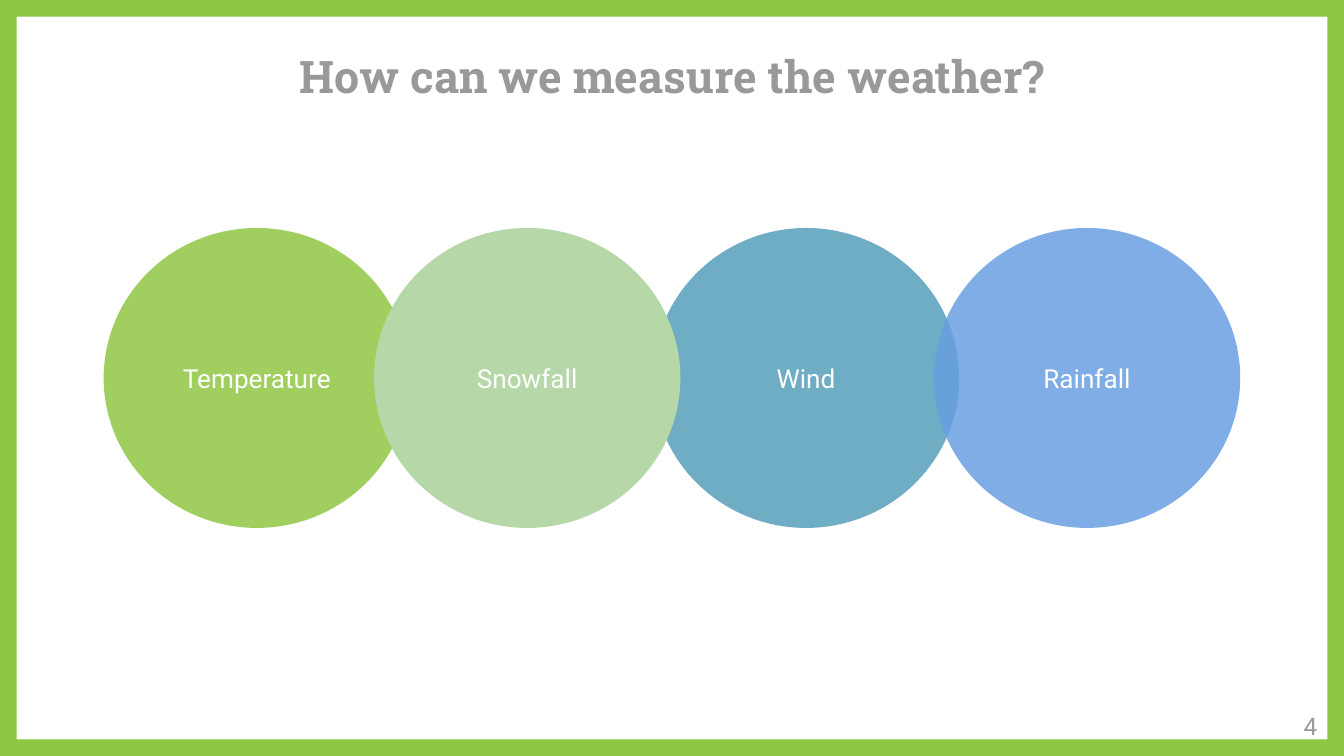
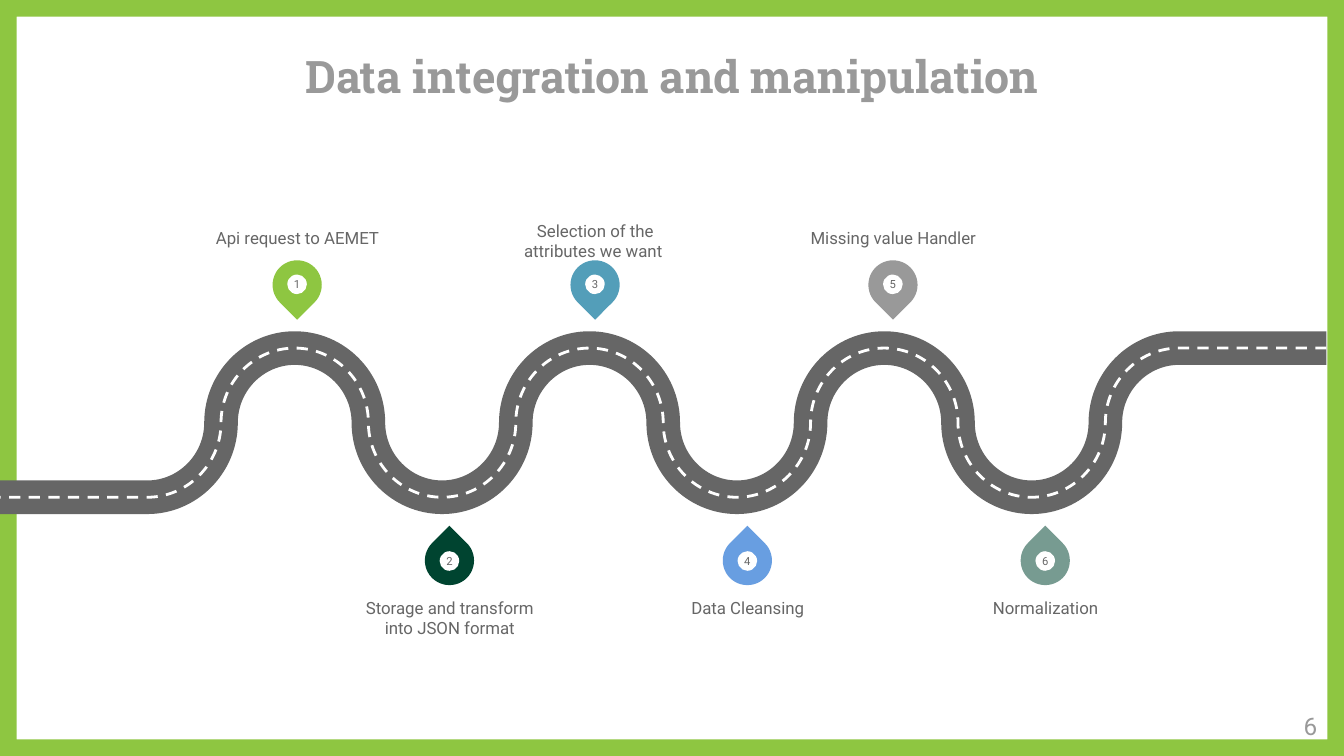
from lxml import etree
from pptx import Presentation
from pptx.dml.color import RGBColor
from pptx.enum import dml, shapes, text
from pptx.oxml.ns import qn
from pptx.util import Cm, Pt

COLORS = {
    "lime": "8EC641",
    "sage": "B6D7A8",
    "teal": "539EB9",
    "sky": "689EE1",
    "forest": "004430",
    "moss": "779B91",
    "gray": "999999",
    "dark": "666666",
    "white": "FFFFFF",
}
BODY, HEADING = "Roboto", "Roboto Slab"
WIDTH, HEIGHT = 25.4, 14.29
TOP, MIDDLE, BOTTOM = (
    text.MSO_ANCHOR.TOP,
    text.MSO_ANCHOR.MIDDLE,
    text.MSO_ANCHOR.BOTTOM,
)


def rgb(name):
    return RGBColor.from_string(COLORS[name])


def write(sp, content, size=9, color="dark", font=BODY, bold=False,
          anchor=TOP, inset=0):
    tf = sp.text_frame
    tf.word_wrap = True
    tf.vertical_anchor = anchor
    tf.margin_left = tf.margin_right = Cm(inset)
    tf.margin_top = tf.margin_bottom = Cm(inset)
    p = tf.paragraphs[0]
    p.alignment = text.PP_ALIGN.CENTER
    r = p.add_run()
    r.text = content
    r.font.name = font
    r.font.size = Pt(size)
    r.font.bold = bold
    r.font.color.rgb = rgb(color)


def add_text(s, box, content, **style):
    sp = s.shapes.add_textbox(*map(Cm, box))
    write(sp, content, **style)


def add_shape(s, kind, box, color, alpha=100):
    sp = s.shapes.add_shape(kind, *map(Cm, box))
    sp.shadow.inherit = False
    sp.fill.solid()
    sp.fill.fore_color.rgb = rgb(color)
    sp.line.fill.background()
    if alpha < 100:
        clr = sp.fill._xPr.find(qn("a:solidFill"))[0]
        etree.SubElement(clr, qn("a:alpha")).set("val", str(alpha * 1000))
    return sp


def add_slide(prs, title, number):
    s = prs.slides.add_slide(prs.slide_layouts[6])
    frame = add_shape(s, shapes.MSO_SHAPE.FRAME, (0, 0, WIDTH, HEIGHT), "lime")
    frame.adjustments[0] = 0.022
    add_text(s, (1.27, 0.75, 22.86, 1.43), title, size=24, color="gray",
             font=HEADING, bold=True, anchor=BOTTOM, inset=0.25)
    add_text(s, (24.13, 13.19, 1.27, 1.09), number, size=13, color="gray",
             inset=0.25)
    return s


def add_circle(s, left, label, color, alpha=84):
    sp = add_shape(s, shapes.MSO_SHAPE.OVAL, (left, 4.31, 5.79, 5.67),
                   color, alpha)
    write(sp, label, size=14, color="white", anchor=MIDDLE, inset=0.25)


def road_points(end=25.07, top=6.58, bottom=9.4, pull=0.55):
    unit, middle = end / 18, (top + bottom) / 2
    points = [(end, top), (16 * unit, top)]
    for k in range(16, 2, -1):
        peak = top if k in (16, 13, 12, 9, 8, 5, 4) else bottom
        near = middle + pull * (peak - middle)
        if k % 2 == 0:
            points += [((k - pull) * unit, peak), ((k - 1) * unit, near),
                       ((k - 1) * unit, middle)]
        else:
            points += [(k * unit, near), ((k - 1 + pull) * unit, peak),
                       ((k - 1) * unit, peak)]
    return points + [(0, bottom)]


def curve_bends(sp):
    lines = list(sp._element.iter(qn("a:lnTo")))[1:-1]
    for first, second, third in zip(lines[::3], lines[1::3], lines[2::3]):
        bend = etree.Element(qn("a:cubicBezTo"))
        first.addprevious(bend)
        for line in (first, second, third):
            bend.append(line[0])
            line.getparent().remove(line)


def add_road(s, color, width, dash=None):
    points = [(Cm(x), Cm(y)) for x, y in road_points()]
    builder = s.shapes.build_freeform(*points[0])
    builder.add_line_segments(points[1:], close=False)
    sp = builder.convert_to_shape()
    curve_bends(sp)
    sp.shadow.inherit = False
    sp.fill.background()
    sp.line.color.rgb = rgb(color)
    sp.line.width = Pt(width)
    if dash:
        sp.line.dash_style = dash


def add_pin(s, number, color, label):
    pin, dot = 0.93, 0.37
    column, below = divmod(number - 1, 2)
    left = 5.15 + 5.63 * column + 2.88 * below
    top = 10.13 if below else 4.92
    drop = add_shape(s, shapes.MSO_SHAPE.TEAR, (left, top, pin, pin), color)
    drop.adjustments[0] = 1
    drop.rotation = 315 if below else 135
    gap = (pin - dot) / 2
    dot_top = top + gap + (0.01 if below else -0.01)
    sp = add_shape(s, shapes.MSO_SHAPE.OVAL, (left + gap, dot_top, dot, dot),
                   "white")
    write(sp, str(number), size=6, anchor=MIDDLE)
    label_top, height = (11.29, 1.47) if below else (3.21, 1.47)
    if number == 3:
        label_top, height = 2.96, 1.98
    add_text(s, (left - 1.32, label_top, 3.58, height), label,
             anchor=TOP if below else BOTTOM)


def measures_slide(prs):
    s = add_slide(prs, "How can we measure the weather?", "4")
    add_circle(s, 12.34, "Wind", "teal")
    add_circle(s, 1.96, "Temperature", "lime")
    add_circle(s, 17.65, "Rainfall", "sky")
    add_circle(s, 7.07, "Snowfall", "sage", alpha=100)


def roadmap_slide(prs):
    s = add_slide(prs, "Data integration and manipulation", "6")
    add_road(s, "dark", 18)
    add_road(s, "white", 1.5, dml.MSO_LINE.DASH)
    stages = [
        ("lime", "Api request to AEMET"),
        ("forest", "Storage and transform into JSON format"),
        ("teal", "Selection of the attributes we want "),
        ("sky", "Data Cleansing"),
        ("gray", "Missing value Handler"),
        ("moss", "Normalization"),
    ]
    for number, (color, label) in enumerate(stages, 1):
        add_pin(s, number, color, label)


def main():
    prs = Presentation()
    prs.slide_width, prs.slide_height = Cm(WIDTH), Cm(HEIGHT)
    measures_slide(prs)
    roadmap_slide(prs)
    prs.save("out.pptx")


if __name__ == "__main__":
    main()
